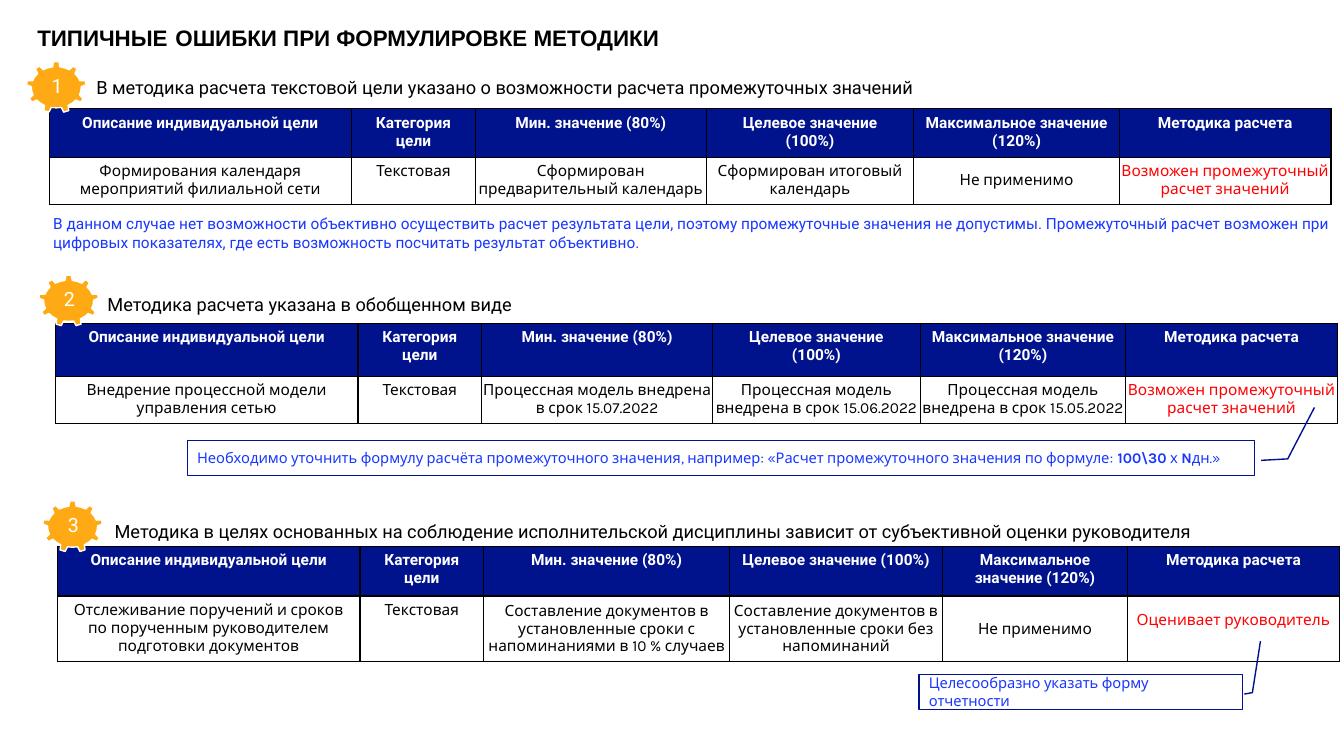
from pptx import Presentation
from pptx.dml.color import RGBColor
from pptx.enum.shapes import MSO_SHAPE
from pptx.enum.text import MSO_ANCHOR, MSO_AUTO_SIZE, PP_ALIGN
from pptx.util import Cm, Pt
from lxml.etree import SubElement

NAVY, BLUE, GOLD = "00128C", "1A37FF", "FFAA14"
WHITE, BLACK, RED = "FFFFFF", "000000", "FF0000"
DRAW = "{http://schemas.openxmlformats.org/drawingml/2006/main}"
HEADS = ["Описание индивидуальной цели", "Категория цели", "Мин. значение (80%)",
         "Целевое значение (100%)", "Максимальное значение (120%)", "Методика расчета"]
WIDE = [7.62, 3.12, 5.82, 5.23, 5.18, 5.33]
BENDS = [0.563, 1.006, 0.522, 1.031, -0.935, 1.056]


def color(value):
    return RGBColor.from_string(value)


def style(par, size, face, tint, bold=False, align=PP_ALIGN.LEFT):
    font = par.font
    font.size, font.name, font.bold = Pt(size), face, bold
    font.color.rgb = color(tint)
    par.alignment = align


def label(shapes, text, place, size, tint, align=PP_ALIGN.LEFT, loose=False):
    frame = shapes.add_textbox(*map(Cm, place)).text_frame
    frame.word_wrap = True
    frame.auto_size = MSO_AUTO_SIZE.SHAPE_TO_FIT_TEXT
    par = frame.paragraphs[0]
    par.text = text
    style(par, size, "Roboto", tint, align=align)
    if loose:
        par.line_spacing, par.space_after = 1.07, Pt(8)


def shape(shapes, kind, place, fill, line):
    item = shapes.add_shape(kind, *map(Cm, place))
    item.shadow.inherit = False
    item.fill.solid()
    item.fill.fore_color.rgb = color(fill)
    item.line.color.rgb = color(line)
    item.line.width = Pt(1)
    return item


def badge(shapes, num, left, top):
    group = shapes.add_group_shape().shapes
    shape(group, MSO_SHAPE.GEAR_9, (left, top, 1.52, 1.3), GOLD, WHITE)
    label(group, num, (left + 0.17, top + 0.18, 1.22, 0.86), 14, WHITE, PP_ALIGN.CENTER)


def callout(shapes, parts, place):
    item = shape(shapes, MSO_SHAPE.LINE_CALLOUT_2, place, WHITE, NAVY)
    for i, bend in enumerate(BENDS):
        item.adjustments[i] = bend
    frame = item.text_frame
    frame.word_wrap = True
    frame.vertical_anchor = MSO_ANCHOR.MIDDLE
    par = frame.paragraphs[0]
    style(par, 10.5, "Karla", BLUE)
    for i, part in enumerate(parts):
        run = par.add_run()
        run.text = part
        if i % 2:
            run.font.bold = True


def border(cell):
    props = cell._tc.get_or_add_tcPr()
    for side in ("lnL", "lnR", "lnT", "lnB"):
        line = SubElement(props, DRAW + side, w=str(Pt(1)))
        fill = SubElement(line, DRAW + "solidFill")
        SubElement(fill, DRAW + "srgbClr", val=BLACK)


def paint(cell, text, fill, face, tint, bold):
    border(cell)
    cell.fill.solid()
    cell.fill.fore_color.rgb = color(fill)
    cell.text = text
    for par in cell.text_frame.paragraphs:
        style(par, 11, face, tint, bold, PP_ALIGN.CENTER)


def center(cell):
    cell.vertical_anchor = MSO_ANCHOR.MIDDLE
    cell.margin_left = cell.margin_right = 0
    cell.margin_top = cell.margin_bottom = 0


def table(shapes, goals, left, top, cols, rows):
    size = map(Cm, (left, top, sum(cols), sum(rows)))
    grid = shapes.add_table(2, len(cols), *size).table
    grid.first_row = grid.horz_banding = False
    for row, high in zip(grid.rows, rows):
        row.height = Cm(high)
    for i, (wide, head, goal) in enumerate(zip(cols, HEADS, goals)):
        grid.columns[i].width = Cm(wide)
        paint(grid.cell(0, i), head, NAVY, "Roboto", WHITE, True)
        cell = grid.cell(1, i)
        paint(cell, goal, WHITE, "Karla", RED if i == len(cols) - 1 else BLACK, False)
        if i > 1:
            center(cell)
    return grid


def title(shapes):
    frame = shapes.add_textbox(Cm(0.94), Cm(0.46), Cm(23.88), Cm(0.91)).text_frame
    frame.word_wrap = True
    frame.margin_left = frame.margin_right = 0
    frame.margin_top = frame.margin_bottom = 0
    par = frame.paragraphs[0]
    style(par, 16, "Arial", BLACK, True)
    for text in ("ТИПИЧНЫЕ", " ", "ОШИБКИ ПРИ ФОРМУЛИРОВКЕ МЕТОДИКИ"):
        run = par.add_run()
        run.text = text
        if text == " ":
            run.font.size = Pt(20)


def main():
    deck = Presentation()
    deck.slide_width, deck.slide_height = Cm(33.87), Cm(19.05)
    shapes = deck.slides.add_slide(deck.slide_layouts[6]).shapes
    title(shapes)

    table(shapes, ["Формирования календаря мероприятий филиальной сети", "Текстовая",
                   "Сформирован\nпредварительный календарь",
                   "Сформирован итоговый календарь", "Не применимо",
                   "Возможен промежуточный расчет значений"],
          1.24, 2.74, WIDE, [1.22, 1.18])
    label(shapes, "В методика расчета текстовой цели указано о возможности расчета "
          "промежуточных значений", (2.18, 1.75, 31.83, 0.86), 13, BLACK, loose=True)
    label(shapes, "В данном случае нет возможности объективно осуществить расчет результата "
          "цели, поэтому промежуточные значения не допустимы. Промежуточный расчет возможен "
          "при цифровых показателях, где есть возможность посчитать результат объективно.",
          (1.09, 5.23, 32.84, 1.27), 11, BLUE, loose=True)
    badge(shapes, "1", 0.66, 1.55)

    term = "Процессная модель внедрена в срок 15.{}.2022"
    table(shapes, ["Внедрение процессной модели управления сетью", "Текстовая",
                   *map(term.format, ("07", "06", "05")),
                   "Возможен промежуточный расчет значений"],
          1.4, 8.15, WIDE, [1.33, 1.18])
    label(shapes, "Методика расчета указана в обобщенном виде",
          (2.46, 7.24, 32.61, 0.81), 13, BLACK, loose=True)
    callout(shapes, ["Необходимо уточнить формулу расчёта промежуточного значения, например: "
                     "«Расчет промежуточного значения по формуле: ",
                     "100\\30", " х ", "N", "дн.»"], (4.72, 11.1, 26.9, 0.89))
    badge(shapes, "2", 0.97, 6.93)

    label(shapes, "Методика в целях основанных на соблюдение исполнительской дисциплины "
          "зависит от субъективной оценки руководителя", (2.64, 12.98, 30.89, 0.81), 13, BLACK)
    grid = table(shapes, ["Отслеживание поручений и сроков по порученным руководителем "
                          "подготовки документов", "Текстовая",
                          "Составление документов в установленные сроки с напоминаниями "
                          "в 10 % случаев",
                          "Составление документов в установленные сроки без напоминаний",
                          "Не применимо", "Оценивает руководитель"],
                 1.45, 13.77, [7.62, 3.12, 6.2, 5.36, 4.67, 5.33], [1.25, 1.65])
    grid.cell(1, 5).margin_bottom = Cm(0.45)
    badge(shapes, "3", 1.07, 12.62)
    callout(shapes, ["Целесообразно указать форму отчетности"], (23.16, 16.99, 8.15, 0.89))
    deck.save("out.pptx")


if __name__ == "__main__":
    main()
